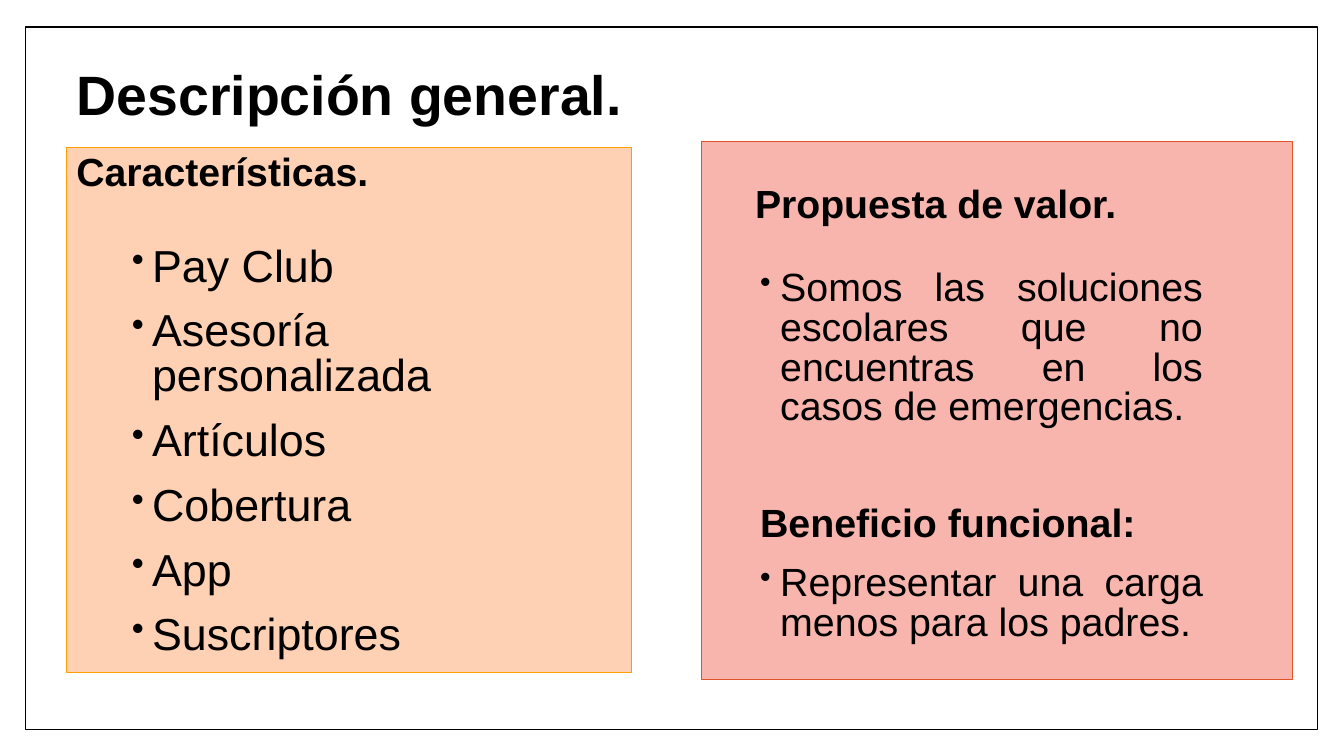
from lxml.etree import SubElement
from pptx import Presentation
from pptx.dml.color import RGBColor
from pptx.enum.shapes import MSO_SHAPE as Shape
from pptx.enum.text import MSO_ANCHOR as Anchor, PP_ALIGN as Align
from pptx.oxml.ns import qn
from pptx.util import Inches, Pt

FONT = "Arial"
BLACK = "000000"
FEATURES = ["Pay Club", "Asesoría personalizada", "Artículos",
            "Cobertura", "App", "Suscriptores"]
VALUE = "Somos las soluciones escolares que no encuentras en los casos de emergencias."
BENEFIT = "Representar una carga menos para los padres."


def color(value):
    return RGBColor.from_string(value)


def add_panel(slide, box, fill, line, width):
    panel = slide.shapes.add_shape(Shape.RECTANGLE, *map(Inches, box))
    panel.shadow.inherit = False
    panel.fill.solid()
    panel.fill.fore_color.rgb = color(fill)
    panel.line.color.rgb = color(line)
    panel.line.width = Pt(width)


def add_text_box(slide, box, anchor=Anchor.TOP):
    frame = slide.shapes.add_textbox(*map(Inches, box)).text_frame
    frame.word_wrap = True
    frame.vertical_anchor = anchor
    return frame


def set_bullet(paragraph):
    properties = paragraph._p.get_or_add_pPr()
    bullet_color = SubElement(properties, qn("a:buClr"))
    SubElement(bullet_color, qn("a:srgbClr"), val=BLACK)
    SubElement(properties, qn("a:buSzPct"), val="80000")
    SubElement(properties, qn("a:buChar"), char="•")


def set_indent(paragraph, left, first):
    properties = paragraph._p.get_or_add_pPr()
    properties.set("marL", str(Inches(left)))
    properties.set("indent", str(Inches(first)))


def write(paragraph, text, size, bold=False, **layout):
    paragraph.text = text
    for name, value in layout.items():
        setattr(paragraph, name, value)
    font_format = {"name": FONT, "size": Pt(size), "bold": bold}
    for name, value in font_format.items():
        setattr(paragraph.font, name, value)
    paragraph.font.color.rgb = color(BLACK)


def add_heading(slide, box, text):
    frame = add_text_box(slide, box, Anchor.MIDDLE)
    write(frame.paragraphs[0], text, 28, True, line_spacing=0.9)


def add_body(slide, box, items, size, align):
    """Each item is (text, is bullet, space before in points)."""
    frame = add_text_box(slide, box)
    for index, (text, bulleted, space) in enumerate(items):
        paragraph = frame.add_paragraph() if index else frame.paragraphs[0]
        layout = {"alignment": align, "line_spacing": 0.84,
                  "space_before": Pt(space if index else 0)}
        for name, value in layout.items():
            setattr(paragraph, name, value)
        if bulleted:
            set_bullet(paragraph)
            set_indent(paragraph, 0.25, -0.2)
        else:
            set_indent(paragraph, 0.05, 0)
        write(paragraph, text, size, not bulleted)


def add_title(slide, box, text):
    title = slide.shapes.title
    title.left, title.top, title.width, title.height = map(Inches, box)
    title.text_frame.vertical_anchor = Anchor.MIDDLE
    title.text_frame.word_wrap = True
    write(title.text_frame.paragraphs[0], text, 39.6, True,
          alignment=Align.LEFT, line_spacing=0.9)


def add_features(slide, left, top, width, height):
    add_panel(slide, (left, top, width, height), "FFD1B4", "FE9E00", 0.79)
    add_heading(slide, (left, top - 0.16, 5.2, 0.85), "Características.")
    items = [(text, True, 14) for text in FEATURES]
    add_body(slide, (left + 0.5, top + 0.93, 4.89, 4.34), items, 32, Align.LEFT)


def add_proposal(slide, left, top, width, height):
    add_panel(slide, (left, top, width, height), "F7B5AD", "DF5327", 0.79)
    add_heading(slide, (left + 0.43, top + 0.22, 5.2, 0.85), "Propuesta de valor.")
    items = [(VALUE, True, 0), ("Beneficio funcional:", False, 55), (BENEFIT, True, 14)]
    add_body(slide, (left + 0.43, top + 1.23, 4.64, 3.68), items, 28.1, Align.JUSTIFY)


def main():
    presentation = Presentation()
    presentation.slide_width = Inches(13.33)
    presentation.slide_height = Inches(7.5)
    slide = presentation.slides.add_slide(presentation.slide_layouts[5])

    # Frame and title
    add_panel(slide, (0.25, 0.27, 12.82, 6.97), "FFFFFF", BLACK, 1)
    title = slide.shapes.title
    slide.shapes._spTree.append(title._element)
    add_title(slide, (0.66, 0.65, 10.8, 0.63), "Descripción general.")

    # Left and right panels
    add_features(slide, 0.66, 1.46, 5.6, 5.21)
    add_proposal(slide, 6.96, 1.4, 5.86, 5.34)

    presentation.save("out.pptx")


if __name__ == "__main__":
    main()
